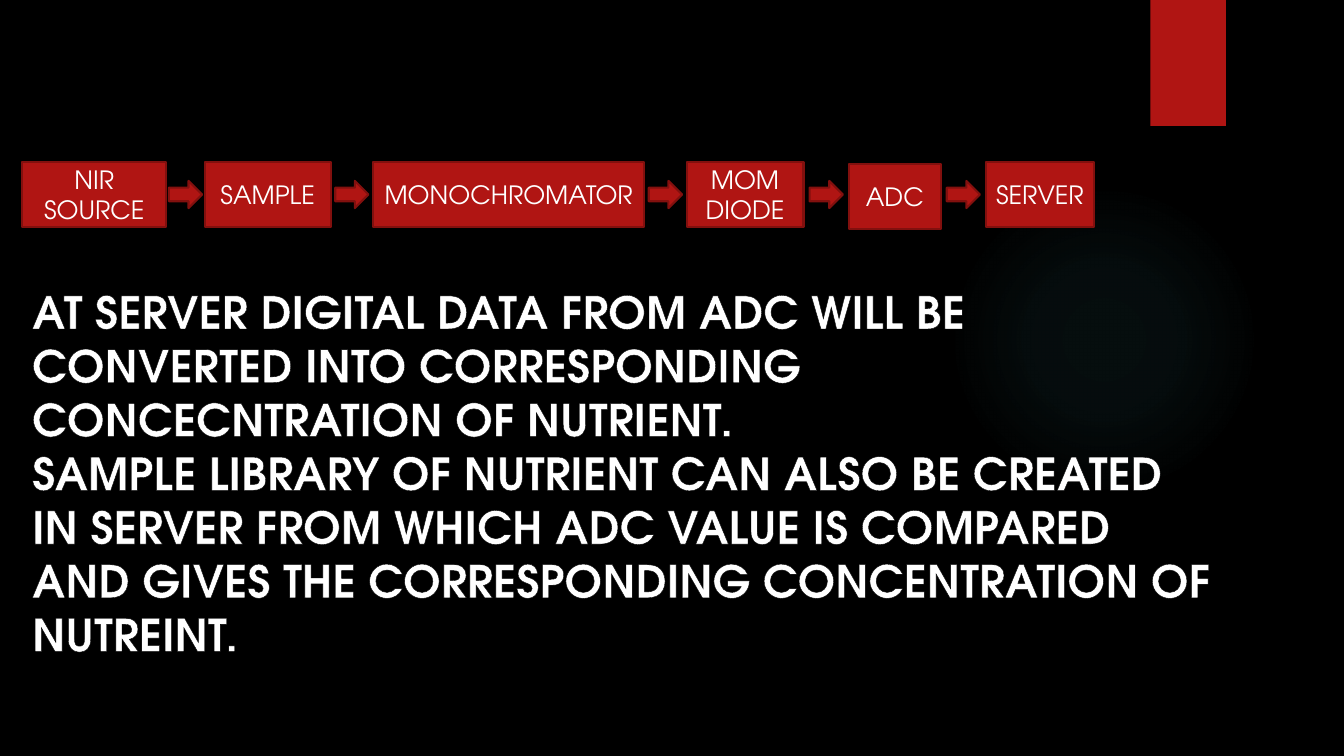
from lxml import etree
from pptx import Presentation
from pptx.dml.color import RGBColor
from pptx.enum.shapes import MSO_SHAPE
from pptx.enum.text import MSO_ANCHOR, PP_ALIGN
from pptx.oxml import parse_xml
from pptx.oxml.ns import nsdecls
from pptx.util import Inches, Pt

RECTANGLE, ARROW, OVAL = MSO_SHAPE.RECTANGLE, MSO_SHAPE.RIGHT_ARROW, MSO_SHAPE.OVAL
MIDDLE, CENTER = MSO_ANCHOR.MIDDLE, PP_ALIGN.CENTER

COLORS = {"background": "000000", "red": "B01513", "edge": "82100E",
          "text": "FFFFFF", "glow": "50B9C1"}
FONT = "TeX Gyre Adventor"
STAGE_FONT = {"name": FONT, "size": Pt(18)}
BODY_FONT = {"name": FONT, "size": Pt(32), "bold": True}

# Stage label, left offset, top offset and width, in inches
STAGES = [
    ("NIR SOURCE", 0, 0, 1.43),
    ("SAMPLE", 1.81, 0, 1.25),
    ("MONOCHROMATOR", 3.48, 0, 2.69),
    ("MOM DIODE", 6.59, 0, 1.16),
    ("ADC", 8.2, 0.02, 0.91),
    ("SERVER", 9.56, 0, 1.07),
]
ARROW_WIDTH, ARROW_HEIGHT = 0.33, 0.27
EXPLANATION = [
    "AT SERVER DIGITAL DATA FROM ADC WILL BE CONVERTED INTO CORRESPONDING "
    "CONCECNTRATION OF NUTRIENT.",
    "SAMPLE LIBRARY OF NUTRIENT CAN ALSO BE CREATED IN SERVER FROM WHICH ADC "
    "VALUE IS COMPARED AND GIVES THE CORRESPONDING CONCENTRATION OF NUTREINT.",
]


def rgb(name):
    return RGBColor.from_string(COLORS[name])


def format_font(font, values):
    for attribute, value in values.items():
        setattr(font, attribute, value)
    font.color.rgb = rgb("text")


def add_block(slide, kind, box, edge=None):
    block = slide.shapes.add_shape(kind, *map(Inches, box))
    block.shadow.inherit = False
    block.fill.solid()
    block.fill.fore_color.rgb = rgb("red")
    if edge:
        block.line.color.rgb = rgb(edge)
        block.line.width = Pt(1.5)
    else:
        block.line.fill.background()
    return block


def add_backdrop(slide, glow_box, ribbon_box):
    slide.background.fill.solid()
    slide.background.fill.fore_color.rgb = rgb("background")

    # Soft round glow fading outwards
    glow = add_block(slide, OVAL, glow_box)
    stops = "".join(
        f'<a:gs pos="{position}000"><a:srgbClr val="{COLORS["glow"]}">'
        f'<a:alpha val="{alpha}000"/></a:srgbClr></a:gs>'
        for position, alpha in ((0, 7), (36, 6), (69, 0), (100, 0)))
    gradient = parse_xml(
        f'<a:gradFill {nsdecls("a")} rotWithShape="1"><a:gsLst>{stops}</a:gsLst>'
        '<a:path path="circle"><a:fillToRect l="50000" t="50000" r="50000" b="50000"/>'
        '</a:path></a:gradFill>')
    properties = glow.fill._xPr
    properties.replace(properties.solidFill, gradient)

    # Red ribbon at the top edge
    add_block(slide, RECTANGLE, ribbon_box)


def add_process_chain(slide, left, top, height):
    # Labelled stages
    for label, offset, drop, width in STAGES:
        stage = add_block(slide, RECTANGLE, (left + offset, top + drop, width, height), "edge")
        frame = stage.text_frame
        frame.word_wrap = True
        frame.vertical_anchor = MIDDLE
        paragraph = frame.paragraphs[0]
        paragraph.alignment = CENTER
        run = paragraph.add_run()
        run.text = label
        format_font(run.font, STAGE_FONT)

    # Arrows centred in the gaps between neighbours
    arrow_top = top + (height - ARROW_HEIGHT) / 2
    for (_, offset, _, width), (_, following, _, _) in zip(STAGES, STAGES[1:]):
        gap_middle = left + (offset + width + following) / 2
        add_block(slide, ARROW, (gap_middle - ARROW_WIDTH / 2, arrow_top,
                                 ARROW_WIDTH, ARROW_HEIGHT), "edge")


def add_explanation(slide, box):
    explanation = slide.shapes.add_textbox(*map(Inches, box))
    frame = explanation.text_frame
    frame.word_wrap = True
    for index, sentence in enumerate(EXPLANATION):
        paragraph = frame.add_paragraph() if index else frame.paragraphs[0]
        run = paragraph.add_run()
        run.text = sentence
        format_font(run.font, BODY_FONT)
        # Thin dark outline around the letters
        outline = parse_xml(f'<a:ln {nsdecls("a")} w="{Pt(1.06)}"/>')
        fill = etree.SubElement(outline, outline.tag.replace("}ln", "}solidFill"))
        etree.SubElement(fill, outline.tag.replace("}ln", "}srgbClr"),
                         val=COLORS["background"])
        run.font._element.insert(0, outline)


def main():
    presentation = Presentation()
    presentation.slide_width = Inches(13.33)
    presentation.slide_height = Inches(7.5)
    slide = presentation.slides.add_slide(presentation.slide_layouts[6])
    add_backdrop(slide, (9.41, 1.83, 3.08, 3.08), (11.41, 0, 0.75, 1.25))
    add_process_chain(slide, 0.22, 1.61, 0.64)
    add_explanation(slide, (0.22, 2.77, 11.98, 3.87))
    presentation.save("out.pptx")


if __name__ == "__main__":
    main()
